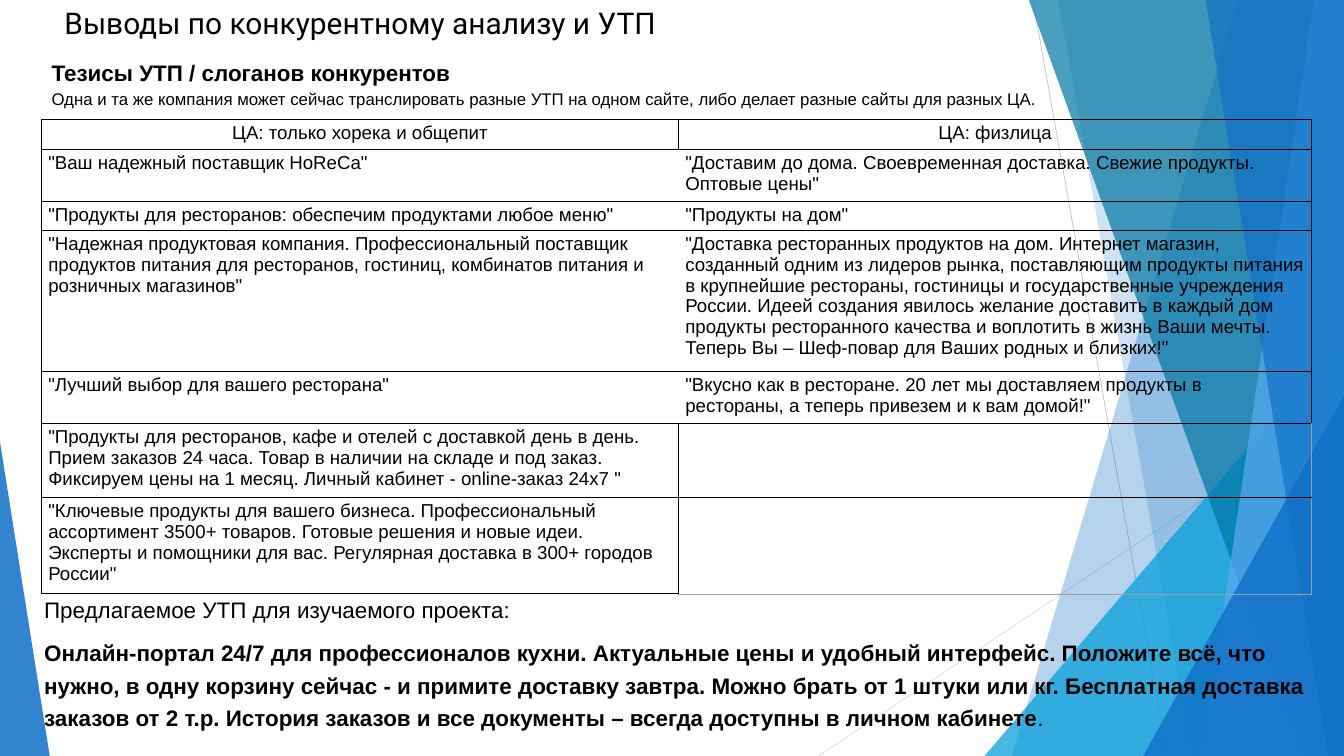
from lxml import etree
from pptx import Presentation
from pptx.dml.color import RGBColor
from pptx.enum.shapes import MSO_CONNECTOR, MSO_SHAPE
from pptx.enum.text import MSO_ANCHOR, PP_ALIGN
from pptx.oxml.ns import qn
from pptx.util import Cm, Pt

STRAIGHT = MSO_CONNECTOR.STRAIGHT
TRIANGLE = MSO_SHAPE.ISOSCELES_TRIANGLE
MIDDLE, TOP = MSO_ANCHOR.MIDDLE, MSO_ANCHOR.TOP
LEFT, CENTER = PP_ALIGN.LEFT, PP_ALIGN.CENTER

WIDTH, HEIGHT = 50.8, 28.58
COLORS = {"text": "000000", "border": "000000", "pale_border": "9E9E9E",
          "line": "BFBFBF", "pale_line": "D9D9D9", "blue": "0F6FC6",
          "cyan": "009DD9", "teal": "0076A3", "sky": "59AAF2"}

# Background: bands run to the right edge (top x, bottom x, colour, opacity)
BANDS_BEHIND = [(46.79, 38.25, "blue", 30), (40, 45.06, "blue", 20)]
BANDS_FRONT = [(38.89, 49.2, "teal", 70), (49.66, 45.42, "sky", 70),
               (45.57, 50.19, "blue", 65)]

# Table
COLUMN_WIDTHS = [24.08, 23.93]
ROW_HEIGHTS = [1.13, 1.93, 1.1, 5.33, 1.97, 2.8, 3.63]
SLOGANS = [
    ("ЦА: только хорека и общепит", "ЦА: физлица"),
    ('"Ваш надежный поставщик HoReCa"',
     '"Доставим до дома. Своевременная доставка. Свежие продукты. Оптовые цены"'),
    ('"Продукты для ресторанов: обеспечим продуктами любое меню"',
     '"Продукты на дом"'),
    ('"Надежная продуктовая компания. Профессиональный поставщик продуктов '
     'питания для ресторанов, гостиниц, комбинатов питания и розничных магазинов"',
     '"Доставка ресторанных продуктов на дом. Интернет магазин, созданный одним '
     'из лидеров рынка, поставляющим продукты питания в крупнейшие рестораны, '
     'гостиницы и государственные учреждения России. Идеей создания явилось '
     'желание доставить в каждый дом продукты ресторанного качества и воплотить '
     'в жизнь Ваши мечты. Теперь Вы – Шеф-повар для Ваших родных и близких!"'),
    ('"Лучший выбор для вашего ресторана"',
     '"Вкусно как в ресторане. 20 лет мы доставляем продукты в рестораны, '
     'а теперь привезем и к вам домой!"'),
    ('"Продукты для ресторанов, кафе и отелей с доставкой день в день. Прием '
     'заказов 24 часа. Товар в наличии на складе и под заказ. Фиксируем цены '
     'на 1 месяц. Личный кабинет - online-заказ 24х7 "', ""),
    ('"Ключевые продукты для вашего бизнеса. Профессиональный ассортимент 3500+ '
     'товаров. Готовые решения и новые идеи. Эксперты и помощники для вас. '
     'Регулярная доставка в 300+ городов России"', ""),
]
OFFER = ("Онлайн-портал 24/7 для профессионалов кухни. Актуальные цены и удобный "
         "интерфейс. Положите всё, что нужно, в одну корзину сейчас - и примите "
         "доставку завтра. Можно брать от 1 штуки или кг. Бесплатная доставка "
         "заказов от 2 т.р. История заказов и все документы – всегда доступны "
         "в личном кабинете")


class SlideBuilder:
    def __init__(self, slide, font="Arial"):
        self.slide, self.font = slide, font

    def color(self, name):
        return RGBColor.from_string(COLORS[name])

    def apply(self, target, values):
        for name, value in values.items():
            setattr(target, name, value)

    def fill(self, shape, color, opacity):
        shape.shadow.inherit = False
        shape.line.fill.background()
        shape.fill.solid()
        shape.fill.fore_color.rgb = self.color(color)
        rgb = shape.fill._xPr.find(".//" + qn("a:srgbClr"))
        etree.SubElement(rgb, qn("a:alpha"), val=str(opacity * 1000))

    def band(self, top_x, bottom_x, color, opacity):
        builder = self.slide.shapes.build_freeform(Cm(top_x), 0)
        builder.add_line_segments([(Cm(WIDTH), 0), (Cm(WIDTH), Cm(HEIGHT)),
                                   (Cm(bottom_x), Cm(HEIGHT))])
        self.fill(builder.convert_to_shape(), color, opacity)

    def triangle(self, left, top, width, apex, color, opacity):
        shape = self.slide.shapes.add_shape(TRIANGLE, Cm(left), Cm(top),
                                            Cm(width), Cm(HEIGHT - top))
        shape.adjustments[0] = apex
        self.fill(shape, color, opacity)

    def line(self, start, end, color):
        line = self.slide.shapes.add_connector(STRAIGHT, *map(Cm, start + end))
        line.line.color.rgb = self.color(color)
        line.line.width = Pt(0.75)
        etree.SubElement(line._element.spPr, qn("a:effectLst"))

    def run(self, paragraph, text, size, bold=False, font=None):
        run = paragraph.add_run()
        run.text = text
        self.apply(run.font, {"name": font or self.font, "size": Pt(size), "bold": bold})
        run.font.color.rgb = self.color("text")

    def title(self, text, box):
        title = self.slide.shapes.title
        self.apply(title, dict(zip(("left", "top", "width", "height"), map(Cm, box))))
        self.apply(title.text_frame, {"vertical_anchor": MIDDLE, "word_wrap": True})
        paragraph = title.text_frame.paragraphs[0]
        paragraph.alignment = LEFT
        self.run(paragraph, text, 32, font="Roboto")

    def text(self, box, paragraphs, frame_format):
        frame = self.slide.shapes.add_textbox(*map(Cm, box)).text_frame
        self.apply(frame, {"word_wrap": True, "vertical_anchor": TOP, **frame_format})
        for index, (runs, paragraph_format) in enumerate(paragraphs):
            paragraph = frame.add_paragraph() if index else frame.paragraphs[0]
            self.apply(paragraph, paragraph_format)
            for run in runs:
                self.run(paragraph, *run)

    def borders(self, cell, sides):
        properties = cell._tc.get_or_add_tcPr()
        for side, color in zip("LRTB", sides):
            width = Pt(1 if color == "border" else 0.75)
            border = etree.SubElement(properties, qn("a:ln" + side), w=str(width))
            if color:
                solid = etree.SubElement(border, qn("a:solidFill"))
                etree.SubElement(solid, qn("a:srgbClr"), val=COLORS[color])
            else:
                etree.SubElement(border, qn("a:noFill"))

    def table(self, left, top, rows):
        table = self.slide.shapes.add_table(
            len(rows), len(COLUMN_WIDTHS), Cm(left), Cm(top),
            Cm(sum(COLUMN_WIDTHS)), Cm(sum(ROW_HEIGHTS))).table
        self.apply(table, {"first_row": False, "horz_banding": False})
        for column, width in zip(table.columns, COLUMN_WIDTHS):
            column.width = Cm(width)
        for index, (row, height) in enumerate(zip(table.rows, ROW_HEIGHTS)):
            row.height = Cm(height)
            paired = index > 0 and bool(rows[index][1])
            divider = None if paired else "border"
            edge = "border" if rows[index][1] else "pale_border"
            bottom = "pale_border" if index == len(rows) - 1 else "border"
            sides = [("border", divider, "border", "border"),
                     (divider, edge, "border", bottom)]
            for cell, text, cell_sides in zip(row.cells, rows[index], sides):
                self.borders(cell, cell_sides)
                cell.fill.background()
                paragraph = cell.text_frame.paragraphs[0]
                paragraph.alignment = LEFT if index else CENTER
                if text:
                    self.run(paragraph, text, 20)


def main():
    presentation = Presentation()
    presentation.slide_width, presentation.slide_height = Cm(WIDTH), Cm(HEIGHT)
    builder = SlideBuilder(presentation.slides.add_slide(presentation.slide_layouts[5]))

    # Background
    builder.line((39.04, 0), (44.12, HEIGHT), "line")
    builder.line((WIDTH, 15.34), (30.94, HEIGHT), "pale_line")
    for band in BANDS_BEHIND:
        builder.band(*band)
    builder.triangle(37.21, 12.7, 13.59, 1, "cyan", 72)
    for band in BANDS_FRONT:
        builder.band(*band)
    builder.triangle(43.21, 14.96, 7.59, 1, "blue", 80)
    builder.triangle(0, 16.71, 1.88, 0, "blue", 85)

    # Title and proposed offer
    builder.title("Выводы по конкурентному анализу и УТП", (2.18, 0.05, 35.18, 1.63))
    margins = ("margin_left", "margin_top", "margin_right", "margin_bottom")
    builder.text((1.57, 22.43, 48.01, 5.38), [
        ([("Предлагаемое УТП для изучаемого проекта:", 24)], {"space_after": Pt(12)}),
        ([(OFFER, 24, True), (".", 24)], {"line_spacing": 1.2}),
    ], dict.fromkeys(margins, Cm(0.1)))

    # Competitor slogans
    builder.table(1.57, 4.52, SLOGANS)
    builder.text((1.57, 1.96, 48.01, 2.31), [
        ([("Тезисы УТП / слоганов конкурентов", 24, True)], {"line_spacing": 1.15}),
        ([("Одна и та же компания может сейчас транслировать разные УТП на одном "
           "сайте, либо делает разные сайты для разных ЦА.", 18)],
         {"line_spacing": 1.15}),
    ], {"margin_left": Cm(0.38)})

    presentation.save("out.pptx")


if __name__ == "__main__":
    main()
